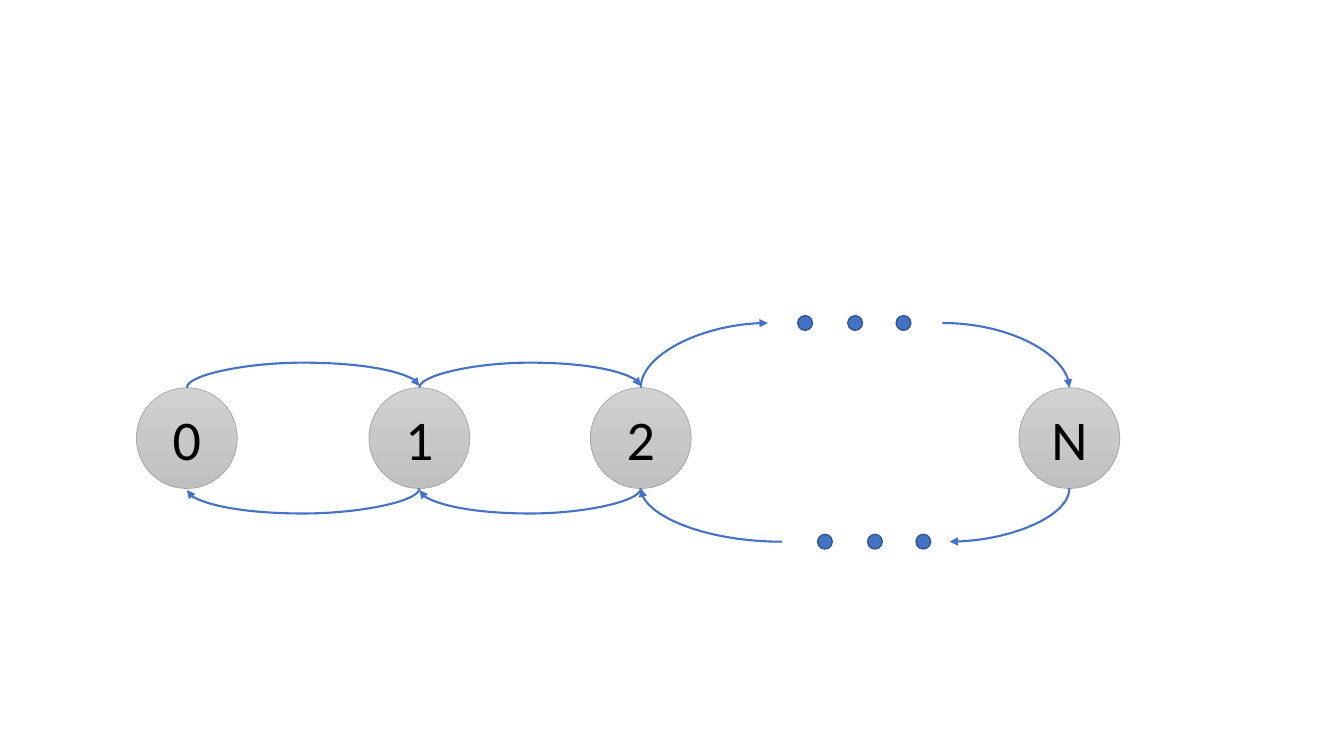
from copy import deepcopy
from dataclasses import dataclass
from typing import Optional

from lxml import etree
from pptx import Presentation
from pptx.dml.color import RGBColor
from pptx.enum.shapes import MSO_CONNECTOR, MSO_SHAPE
from pptx.enum.text import MSO_ANCHOR, PP_ALIGN
from pptx.oxml.ns import qn
from pptx.util import Cm, Pt

OVAL = MSO_SHAPE.OVAL
CURVE = MSO_CONNECTOR.CURVE
CENTER = PP_ALIGN.CENTER
MIDDLE = MSO_ANCHOR.MIDDLE

BLACK = RGBColor(0x00, 0x00, 0x00)
BLUE = RGBColor(0x44, 0x72, 0xC4)
DARK_BLUE = RGBColor(0x32, 0x54, 0x91)
GRAY = RGBColor(0xA5, 0xA5, 0xA5)
STATE_GRADIENT = (
    RGBColor(0xD2, 0xD2, 0xD2),
    RGBColor(0xC8, 0xC8, 0xC8),
    RGBColor(0xC0, 0xC0, 0xC0),
)

# Lengths in centimetres
STATE_SIZE = 2.54
STATE_TOP = 9.77
STATE_BOTTOM = STATE_TOP + STATE_SIZE
DOT_SIZE = 0.37
DOT_OFFSETS = (0, 1.26, 2.48)
UPPER_ROW = 8.14
LOWER_ROW = 13.65
ARC_STEP = 0.04
ARC_BULGE = 0.63

# Connection sites of an oval
TOP_SITE = 0
BOTTOM_SITE = 4


@dataclass
class State:
    label: str
    center: float


@dataclass
class Arrow:
    start: tuple[float, float]
    end: tuple[float, float]
    rotation: int = 90
    source: Optional[str] = None
    target: Optional[str] = None
    site: int = TOP_SITE


STATES = (
    State("0", 4.71),
    State("1", 10.57),
    State("2", 16.15),
    State("N", 26.95),
)


def add_circle(slide, center_x: float, center_y: float, size: float):
    shape = slide.shapes.add_shape(
        OVAL, Cm(center_x - size / 2), Cm(center_y - size / 2), Cm(size), Cm(size)
    )
    shape.shadow.inherit = False
    return shape


def add_state(slide, state: State):
    shape = add_circle(slide, state.center, STATE_TOP + STATE_SIZE / 2, STATE_SIZE)
    shape.fill.gradient()
    shape.fill.gradient_angle = 270
    stop_list = next(shape._element.spPr.iter(qn("a:gsLst")))
    stop_list.append(deepcopy(stop_list[0]))
    for index, (stop, color) in enumerate(zip(shape.fill.gradient_stops, STATE_GRADIENT)):
        stop.position = index / 2
        stop.color.rgb = color
    shape.line.color.rgb = GRAY
    shape.line.width = Pt(0.5)

    text_frame = shape.text_frame
    text_frame.vertical_anchor = MIDDLE
    paragraph = text_frame.paragraphs[0]
    paragraph.text = state.label
    paragraph.alignment = CENTER
    paragraph.font.name = "Calibri"
    paragraph.font.size = Pt(40)
    paragraph.font.color.rgb = BLACK
    return shape


def add_dots(slide, first_center: float, row: float) -> None:
    for offset in DOT_OFFSETS:
        dot = add_circle(slide, first_center + offset, row, DOT_SIZE)
        dot.fill.solid()
        dot.fill.fore_color.rgb = BLUE
        dot.line.color.rgb = DARK_BLUE
        dot.line.width = Pt(1)


def add_arrow(slide, arrow: Arrow, circles: dict) -> None:
    (start_x, start_y), (end_x, end_y) = arrow.start, arrow.end
    width, height = abs(end_x - start_x), abs(end_y - start_y)
    if arrow.rotation == 90:
        width, height = height, width
    left = (start_x + end_x - width) / 2
    top = (start_y + end_y - height) / 2
    connector = slide.shapes.add_connector(
        CURVE, Cm(left), Cm(top), Cm(left + width), Cm(top + height)
    )
    connector.line.color.rgb = BLUE
    connector.line.width = Pt(1.5)

    # Direction of the curve
    properties = connector._element.spPr
    transform = properties.find(qn("a:xfrm"))
    transform.set("rot", str(arrow.rotation * 60000))
    if arrow.rotation == 90 and end_y < start_y:
        transform.set("flipH", "1")
        transform.set("flipV", "1")

    # Full arc between two states, quarter arc otherwise
    geometry = properties.find(qn("a:prstGeom"))
    if arrow.source and arrow.target:
        guides = geometry.find(qn("a:avLst"))
        bulge = round(ARC_BULGE / ARC_STEP * 100000)
        etree.SubElement(guides, qn("a:gd"), name="adj1", fmla=f"val {bulge}")
    else:
        geometry.set("prst", "curvedConnector2")

    # Attachment to the states
    links = next(connector._element.iter(qn("p:cNvCxnSpPr")))
    for tag, label in (("a:stCxn", arrow.source), ("a:endCxn", arrow.target)):
        if label:
            shape_id = str(circles[label].shape_id)
            etree.SubElement(links, qn(tag), id=shape_id, idx=str(arrow.site))

    # Arrowhead, no shadow
    etree.SubElement(properties.find(qn("a:ln")), qn("a:tailEnd"), type="triangle")
    etree.SubElement(properties, qn("a:effectLst"))


def chain_arrows() -> list[Arrow]:
    arrows = []
    for near, far in zip(STATES[:2], STATES[1:3]):
        arrows.append(Arrow(
            (near.center, STATE_TOP), (far.center, STATE_TOP - ARC_STEP),
            source=near.label, target=far.label,
        ))
        arrows.append(Arrow(
            (far.center, STATE_BOTTOM), (near.center, STATE_BOTTOM + ARC_STEP),
            source=far.label, target=near.label, site=BOTTOM_SITE,
        ))
    return arrows


def gap_arrows() -> list[Arrow]:
    second, last = STATES[2:]
    return [
        Arrow((second.center, STATE_TOP), (19.35, UPPER_ROW), source=second.label),
        Arrow((23.75, UPPER_ROW), (last.center, STATE_TOP), 0, target=last.label),
        Arrow((19.71, LOWER_ROW), (second.center, STATE_BOTTOM), 180,
              target=second.label, site=BOTTOM_SITE),
        Arrow((last.center, STATE_BOTTOM), (23.93, LOWER_ROW),
              source=last.label, site=BOTTOM_SITE),
    ]


def main() -> None:
    presentation = Presentation()
    presentation.slide_width = Cm(33.87)
    presentation.slide_height = Cm(19.05)
    slide = presentation.slides.add_slide(presentation.slide_layouts[6])

    # States, transitions and the omitted middle of the chain
    circles = {state.label: add_state(slide, state) for state in STATES}
    for arrow in chain_arrows() + gap_arrows():
        add_arrow(slide, arrow, circles)
    add_dots(slide, 20.29, UPPER_ROW)
    add_dots(slide, 20.79, LOWER_ROW)

    presentation.save("out.pptx")


if __name__ == "__main__":
    main()
